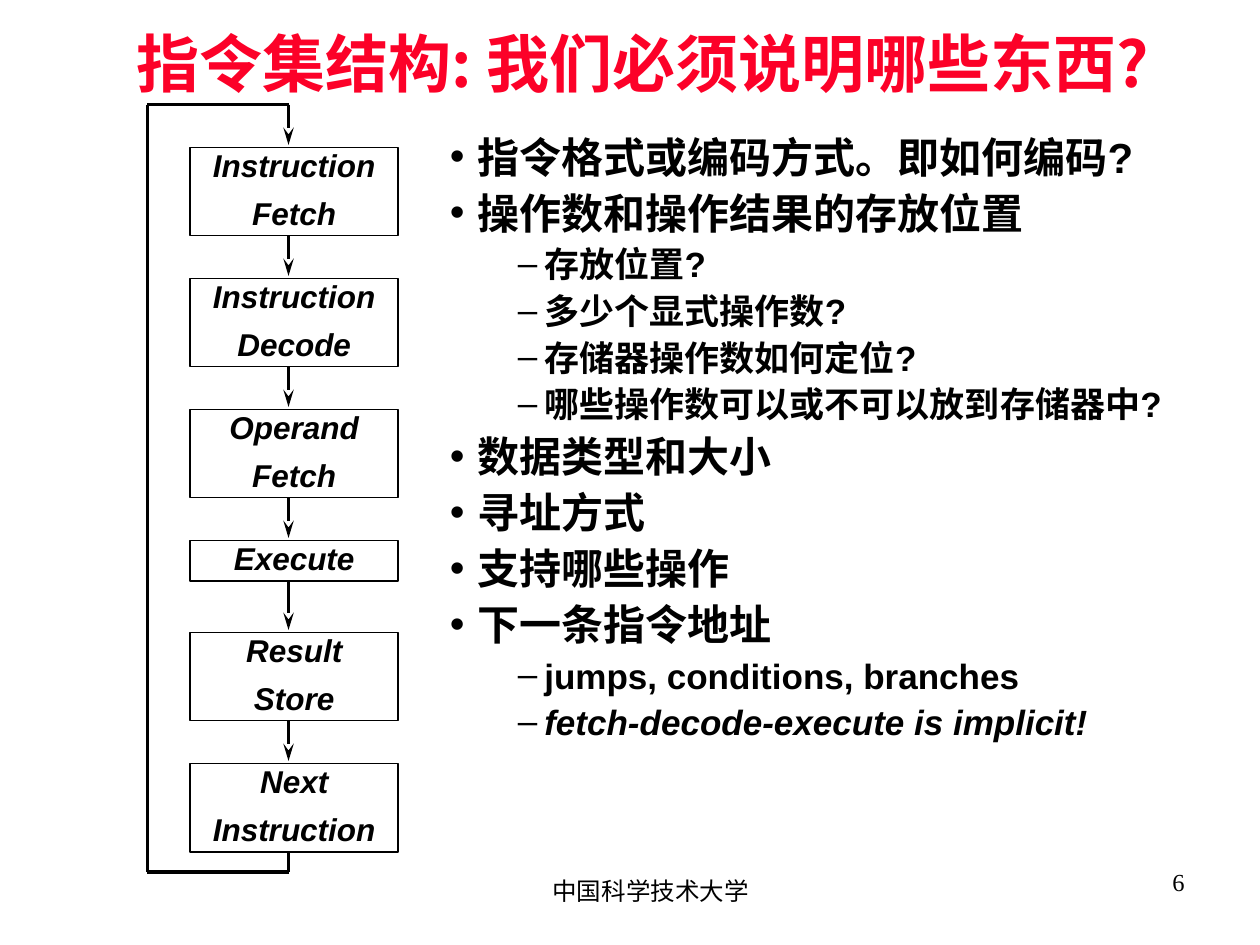
from dataclasses import dataclass

from lxml.etree import SubElement
from pptx import Presentation
from pptx.dml.color import RGBColor
from pptx.enum.shapes import MSO_CONNECTOR, MSO_SHAPE
from pptx.enum.text import MSO_ANCHOR, PP_ALIGN
from pptx.oxml.ns import qn
from pptx.util import Inches, Pt


@dataclass(frozen=True)
class Theme:
    ink: RGBColor = RGBColor(0, 0, 0)
    red: RGBColor = RGBColor(0xFC, 0x01, 0x28)
    sans: str = "Arial"
    serif: str = "Times New Roman"
    asian: str = "Noto Sans CJK SC"
    title: int = 36
    step: int = 18
    foot: int = 14
    levels: tuple = (24, 20)


class Deck:
    def __init__(self, theme):
        self.theme = theme
        self.file = Presentation()
        self.file.slide_width, self.file.slide_height = Inches(10), Inches(7.5)
        self.slide = self.file.slides.add_slide(self.file.slide_layouts[6])

    def style(self, para, size, font, color=None, bold=True, italic=False):
        for run in para.runs:
            face = run.font
            face.size, face.name = Pt(size), font
            face.bold, face.italic = bold, italic
            face.color.rgb = color or self.theme.ink
            SubElement(run._r.rPr, qn("a:ea")).set("typeface", self.theme.asian)

    def space(self, para, line, before, left=0, hang=0):
        """Set line spacing, space before and a hanging indent."""
        para.line_spacing, para.space_before = line, Pt(before)
        props = para._p.get_or_add_pPr()
        props.set("marL", str(Inches(left)))
        props.set("indent", str(-Inches(hang)))
        return props

    def inset(self, frame, side=0.07, top=0.03):
        frame.margin_left = frame.margin_right = Inches(side)
        frame.margin_top = frame.margin_bottom = Inches(top)
        frame.word_wrap = True

    def text(self, place, words, align=PP_ALIGN.LEFT):
        shape = self.slide.shapes.add_textbox(*map(Inches, place))
        frame = shape.text_frame
        self.inset(frame)
        frame.text = words
        for para in frame.paragraphs:
            para.alignment = align
        return frame

    def title(self, place, words):
        para = self.text(place, words, PP_ALIGN.CENTER).paragraphs[0]
        para.line_spacing = 0.9
        self.style(para, self.theme.title, self.theme.asian, self.theme.red)

    def footer(self, place, words, align):
        frame = self.text(place, words, align)
        self.inset(frame, 0.1, 0.05)
        self.style(frame.paragraphs[0], self.theme.foot, self.theme.serif, bold=False)
        return frame

    def bullets(self, place, items):
        """Write (level, text) items as a two-level list."""
        frame = self.text(place, "\n".join(words for _, words in items))
        rules = (("•", 9, 0.22, 0.22), ("–", 7.5, 0.75, 0.21))
        for para, (level, _) in zip(frame.paragraphs, items):
            mark, before, left, hang = rules[level]
            para.level = level
            props = self.space(para, 0.8, before, left, hang)
            SubElement(props, qn("a:buFont")).set("typeface", self.theme.sans)
            SubElement(props, qn("a:buChar")).set("char", mark)
            self.style(para, self.theme.levels[level], self.theme.sans)
        return frame

    def box(self, place, words):
        shape = self.slide.shapes.add_shape(MSO_SHAPE.RECTANGLE, *map(Inches, place))
        shape.shadow.inherit = False
        shape.fill.background()
        shape.line.color.rgb, shape.line.width = self.theme.ink, Pt(1)
        frame = shape.text_frame
        self.inset(frame)
        frame.vertical_anchor = MSO_ANCHOR.TOP
        frame.text = words
        for para in frame.paragraphs:
            para.alignment = PP_ALIGN.CENTER
            self.space(para, 0.86, 9, 0.38, 0.38)
            self.style(para, self.theme.step, self.theme.sans, italic=True)

    def line(self, start, end, arrow=False):
        link = self.slide.shapes.add_connector(
            MSO_CONNECTOR.STRAIGHT, *map(Inches, (*start, *end)))
        link.line.color.rgb, link.line.width = self.theme.ink, Pt(2)
        if arrow:
            tail = SubElement(link.line._ln, qn("a:tailEnd"))
            for key, value in (("type", "stealth"), ("w", "med"), ("len", "lg")):
                tail.set(key, value)
        SubElement(link._element.spPr, qn("a:effectLst"))


STEPS = ("Instruction\nFetch", "Instruction\nDecode", "Operand\nFetch",
         "Execute", "Result\nStore", "Next\nInstruction")
POINTS = (
    (0, "指令格式或编码方式。即如何编码?"),
    (0, "操作数和操作结果的存放位置"),
    (1, "存放位置?"),
    (1, "多少个显式操作数?"),
    (1, "存储器操作数如何定位?"),
    (1, "哪些操作数可以或不可以放到存储器中?"),
    (0, "数据类型和大小"),
    (0, "寻址方式"),
    (0, "支持哪些操作"),
    (0, "下一条指令地址"),
    (1, "jumps, conditions, branches"),
    (1, "fetch-decode-execute is implicit!"),
)


def draw_cycle(deck):
    """Stack the steps, link them and loop the last back to the first."""
    axis, back, roof, floor = 2.29, 1.17, 0.83, 6.92
    top, last = 1.17, roof
    for words in STEPS:
        short = "\n" not in words
        high, gap = (0.32, 0.41) if short else (0.7, 0.34)
        deck.box((1.51, top, 1.65, high), words)
        deck.line((axis, last), (axis, top - 0.02), arrow=True)
        last = top + high
        top = last + gap
    loop = ((axis, last), (axis, floor), (back, floor), (back, roof), (axis, roof))
    for start, end in zip(loop, loop[1:]):
        deck.line(start, end)


def main():
    deck = Deck(Theme())
    school = deck.footer((3.58, 6.82, 3.17, 0.5), "中国科学技术大学", PP_ALIGN.CENTER)
    school.vertical_anchor = MSO_ANCHOR.MIDDLE
    deck.footer((7.17, 6.83, 2.33, 0.52), "6", PP_ALIGN.RIGHT)
    deck.title((0.78, 0.23, 8.64, 1.14), "指令集结构: 我们必须说明哪些东西?")
    draw_cycle(deck)
    points = deck.bullets((3.5, 1.09, 5.79, 5.57), POINTS)
    points.paragraphs[-1].runs[0].font.italic = True
    deck.file.save("out.pptx")


if __name__ == "__main__":
    main()
